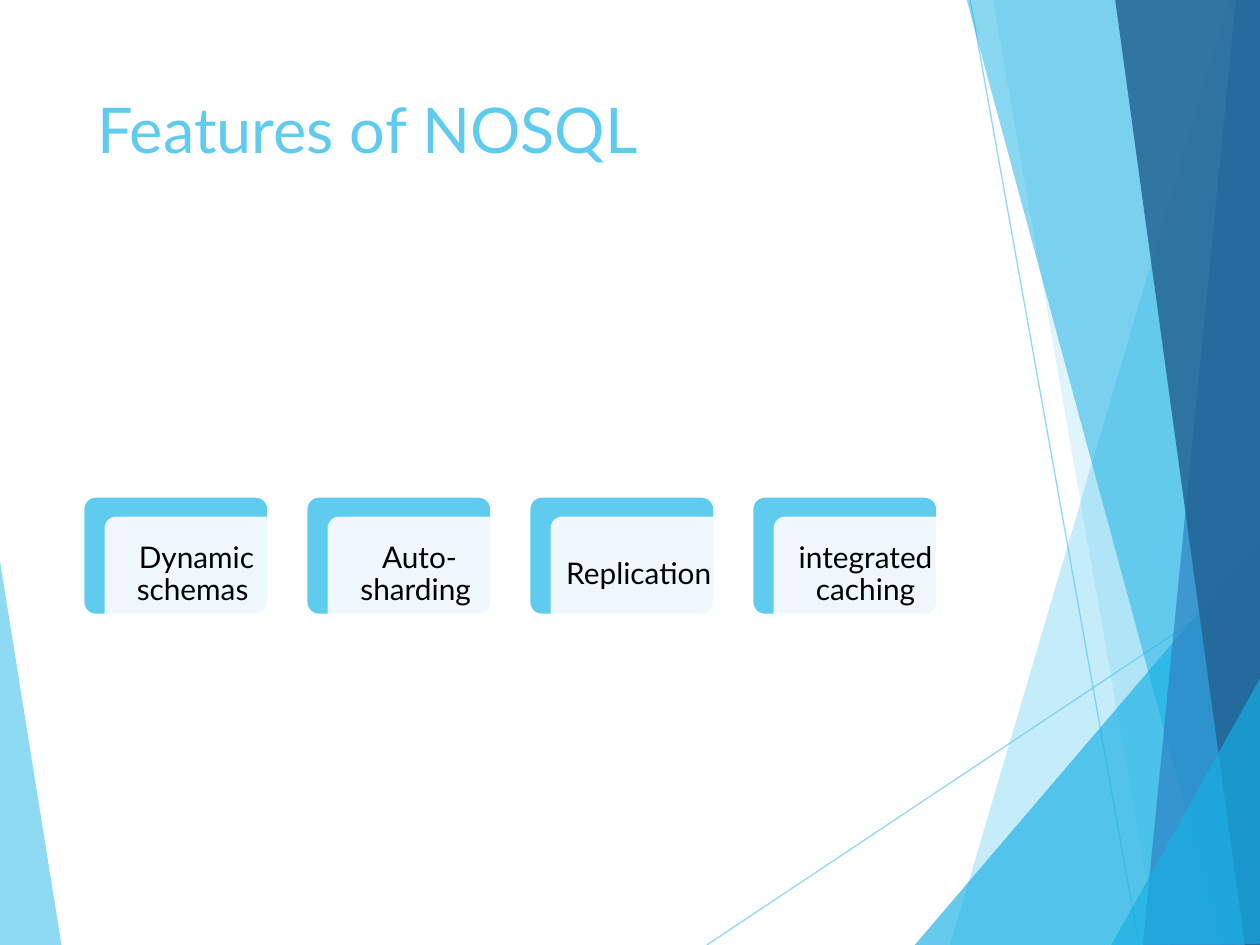
from pptx import Presentation
from pptx import util as u
from pptx.dml.color import RGBColor
from pptx.enum import shapes, text
from pptx.oxml.ns import qn
from lxml import etree

SKY = RGBColor(0x5F, 0xCB, 0xEF)
CYAN = RGBColor(0x17, 0xB0, 0xE4)
BLUE = RGBColor(0x2E, 0x83, 0xC3)
NAVY = RGBColor(0x22, 0x62, 0x92)
WHITE = RGBColor(0xFF, 0xFF, 0xFF)
BLACK = RGBColor(0, 0, 0)
FONT = "Lato"

# Thin lines: start and end points
LINES = [((5.61, 7.5), (10.01, 4.57)), ((7.7, 0), (9.04, 7.5))]

# Translucent facets, back to front: colour, opacity in percent, corners
LEFT = (SKY, 70, [(-0.01, 4.39), (0.49, 7.51), (-0.01, 7.5)])
FACETS = [
    (SKY, 36, [(9.75, 0), (7.54, 7.5), (10.02, 7.51), (10.01, 0.01)]),
    (SKY, 20, [(7.88, -0.01), (9.19, 7.5), (10.01, 7.5), (10.01, -0.01)]),
    (CYAN, 66, [(7.26, 7.5), (10, 4.29), (10.01, 7.5)]),
    (CYAN, 50, [(7.67, -0.01), (9.7, 7.5), (10.01, 7.49), (10.01, -0.01)]),
    (BLUE, 70, [(9.81, -0.01), (9.07, 7.5), (10.01, 7.5), (10, -0.01)]),
    (NAVY, 82, [(8.85, -0.01), (9.88, 7.5), (10.02, 7.5), (10, -0.01)]),
    (CYAN, 66, [(8.82, 7.5), (10.02, 5.35), (10.02, 7.49)]),
]

# Feature cards
CARDS = ["Dynamic schemas ", "Auto-sharding ", "Replication ", "integrated caching"]
LEFT_X, TOP_Y, PITCH = 0.67, 3.95, 1.77
WIDE, HIGH, SHIFT = 1.45, 0.92, 0.16


def fade(fill, alpha):
    """Make a solid fill translucent."""
    color = fill._xPr.find(qn("a:solidFill"))[0]
    etree.SubElement(color, qn("a:alpha")).set("val", str(alpha * 1000))


def paint(shape, color, alpha=100):
    shape.shadow.inherit = False
    shape.line.fill.background()
    shape.fill.solid()
    shape.fill.fore_color.rgb = color
    if alpha < 100:
        fade(shape.fill, alpha)


def add_facet(slide, color, alpha, points):
    dots = [(u.Inches(x), u.Inches(y)) for x, y in points]
    pen = slide.shapes.build_freeform(*dots[0])
    pen.add_line_segments(dots[1:], close=True)
    paint(pen.convert_to_shape(), color, alpha)


def add_line(slide, start, end):
    ends = [u.Inches(n) for n in start + end]
    line = slide.shapes.add_connector(shapes.MSO_CONNECTOR.STRAIGHT, *ends)
    line.line.color.rgb = SKY
    line.line.width = u.Pt(0.75)
    fade(line.line.fill, 70)
    etree.SubElement(line.element.spPr, qn("a:effectLst"))


def add_tile(slide, x, y, color, alpha=100):
    tile = slide.shapes.add_shape(
        shapes.MSO_SHAPE.ROUNDED_RECTANGLE,
        u.Inches(x), u.Inches(y), u.Inches(WIDE), u.Inches(HIGH))
    tile.adjustments[0] = 0.1
    paint(tile, color, alpha)


def add_label(slide, x, y, words):
    box = slide.shapes.add_textbox(
        u.Inches(x), u.Inches(y), u.Inches(1.4), u.Inches(0.87))
    frame = box.text_frame
    frame.word_wrap = True
    frame.vertical_anchor = text.MSO_ANCHOR.MIDDLE
    frame.margin_left = frame.margin_right = u.Inches(0.07)
    frame.margin_top = frame.margin_bottom = u.Inches(0.07)
    para = frame.paragraphs[0]
    para.text = words
    para.alignment = text.PP_ALIGN.CENTER
    para.line_spacing = 0.9
    para.space_after = u.Pt(6)
    style(para.font, 17, BLACK)


def add_card(slide, x, words):
    add_tile(slide, x, TOP_Y, SKY)
    add_tile(slide, x + SHIFT, TOP_Y + 0.15, WHITE, 90)
    add_label(slide, x + SHIFT + 0.03, TOP_Y + 0.18, words)


def style(font, size, color):
    font.name = FONT
    font.size = u.Pt(size)
    font.color.rgb = color


def set_title(slide, words):
    title = slide.shapes.title
    title.left, title.top = u.Inches(0.67), u.Inches(0.67)
    title.width, title.height = u.Inches(6.94), u.Inches(1.44)
    frame = title.text_frame
    frame.text = words
    frame.word_wrap = True
    frame.auto_size = text.MSO_AUTO_SIZE.NONE
    frame.vertical_anchor = text.MSO_ANCHOR.TOP
    para = frame.paragraphs[0]
    para.alignment = text.PP_ALIGN.LEFT
    style(para.font, 36, SKY)
    # Bring the title in front of the backdrop
    slide.shapes.element.append(title.element)


def main():
    deck = Presentation()
    deck.slide_width, deck.slide_height = u.Inches(10), u.Inches(7.5)
    slide = deck.slides.add_slide(deck.slide_layouts[5])

    # Backdrop
    add_facet(slide, *LEFT)
    for start, end in LINES:
        add_line(slide, start, end)
    for facet in FACETS:
        add_facet(slide, *facet)

    # Content
    set_title(slide, "Features of NOSQL")
    for i, words in enumerate(CARDS):
        add_card(slide, LEFT_X + i * PITCH, words)

    deck.save("out.pptx")


if __name__ == "__main__":
    main()
